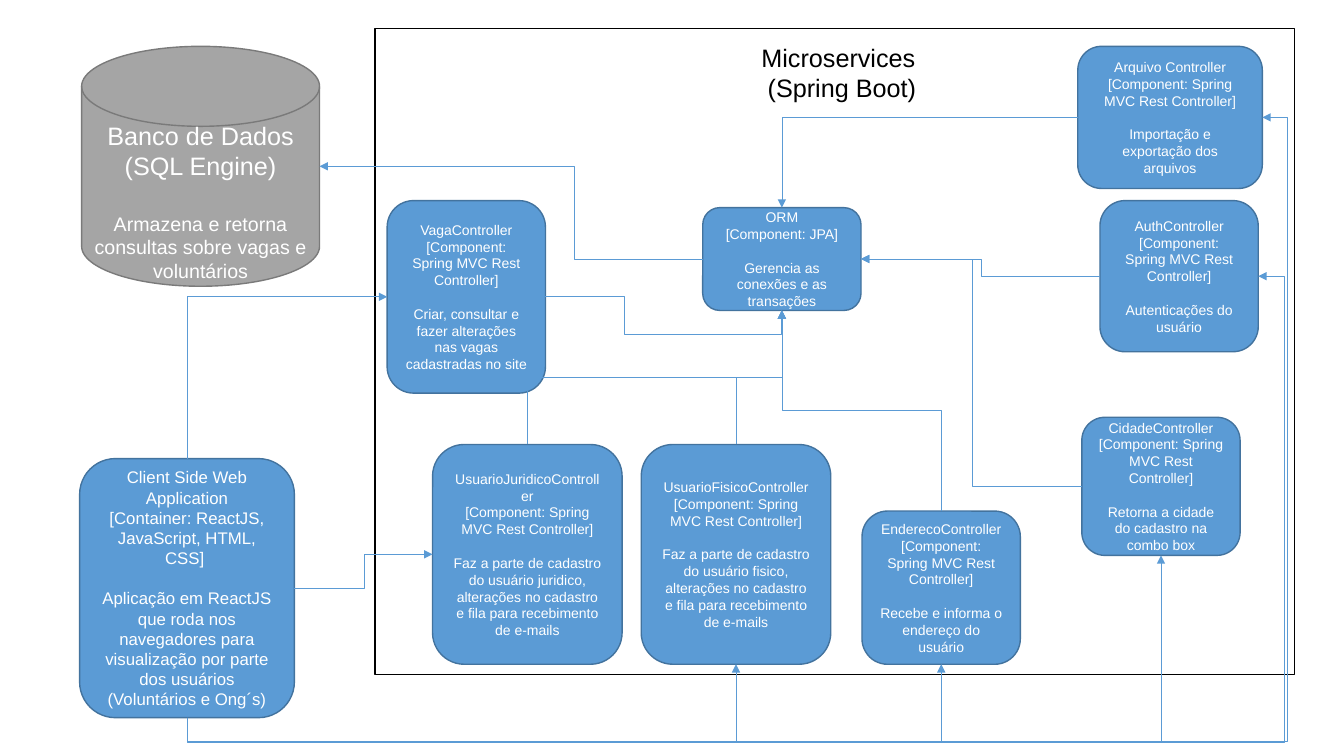
from dataclasses import dataclass

from pptx import Presentation
from pptx.dml.color import RGBColor
from pptx.enum.shapes import MSO_CONNECTOR, MSO_SHAPE
from pptx.enum.text import MSO_ANCHOR, PP_ALIGN
from pptx.oxml.ns import qn
from pptx.util import Inches, Pt
from lxml import etree

ELBOW = MSO_CONNECTOR.ELBOW
RECTANGLE = MSO_SHAPE.RECTANGLE
ROUNDED = MSO_SHAPE.ROUNDED_RECTANGLE
DISK = MSO_SHAPE.FLOWCHART_MAGNETIC_DISK
MIDDLE = MSO_ANCHOR.MIDDLE
CENTER = PP_ALIGN.CENTER
TOP, LEFT, BOTTOM, RIGHT = range(4)
DISK_RIGHT = 4


@dataclass(frozen=True)
class Theme:
    font: str = "Arial"
    white: RGBColor = RGBColor.from_string("FFFFFF")
    black: RGBColor = RGBColor.from_string("000000")
    blue: RGBColor = RGBColor.from_string("5B9BD5")
    blue_edge: RGBColor = RGBColor.from_string("43739E")
    gray: RGBColor = RGBColor.from_string("A5A5A5")
    gray_edge: RGBColor = RGBColor.from_string("7A7A7A")
    title: int = 18
    database: int = 14
    client: int = 12
    component: int = 10
    border: float = 1
    arrow: float = 0.5


theme = Theme()
presentation = Presentation()
presentation.slide_width = Inches(13.33)
presentation.slide_height = Inches(7.5)
slide = presentation.slides.add_slide(presentation.slide_layouts[6])


def add_box(kind, bounds, fill, edge):
    shape = slide.shapes.add_shape(kind, *map(Inches, bounds))
    shape.shadow.inherit = False
    shape.fill.solid()
    shape.fill.fore_color.rgb = fill
    shape.line.color.rgb = edge
    shape.line.width = Pt(theme.border)
    return shape


def write_lines(shape, lines, color):
    frame = shape.text_frame
    frame.word_wrap = True
    for index, (text, size, gap) in enumerate(lines):
        paragraph = frame.paragraphs[0] if index == 0 else frame.add_paragraph()
        paragraph.alignment = CENTER
        paragraph.space_before = Pt(gap)
        run = paragraph.add_run()
        run.text = text
        run.font.name = theme.font
        run.font.size = Pt(size)
        run.font.color.rgb = color


add_box(RECTANGLE, (3.72, 0.28, 9.12, 6.41), theme.white, theme.black)

database = add_box(DISK, (0.81, 0.46, 2.36, 2.38), theme.gray, theme.gray_edge)
database.text_frame.vertical_anchor = MIDDLE
database.text_frame.margin_top = Inches(0.35)
write_lines(database, [
    ("Banco de Dados", theme.title, 0),
    ("(SQL Engine)", theme.title, 0),
    ("Armazena e retorna consultas sobre vagas e voluntários", theme.database, 22),
], theme.white)

title = slide.shapes.add_textbox(Inches(5.39), Inches(0.37), Inches(5.92), Inches(0.71))
write_lines(title, [
    ("Microservices ", theme.title, 0),
    ("(Spring Boot)", theme.title, 0),
], theme.black)

REST = "[Component: Spring MVC Rest Controller]"
USER_TASK = ("Faz a parte de cadastro do usuário {}, alterações no cadastro "
             "e fila para recebimento de e-mails")
components = {
    "orm": ((6.97, 2.06, 1.57, 1.02), "ORM", "[Component: JPA]",
            "Gerencia as conexões e as transações", theme.component),
    "client": ((0.79, 4.55, 2.13, 2.57), "Client Side Web Application",
               "[Container: ReactJS, JavaScript, HTML, CSS] ",
               "Aplicação em ReactJS que roda nos navegadores para visualização "
               "por parte dos usuários (Voluntários e Ong´s)", theme.client),
    "arquivo": ((10.69, 0.46, 1.83, 1.41), "Arquivo Controller", REST,
                "Importação e exportação dos arquivos", theme.component),
    "auth": ((10.91, 1.99, 1.57, 1.5), "AuthController", REST,
             "Autenticações do usuário", theme.component),
    "cidade": ((10.73, 4.14, 1.57, 1.37), "CidadeController", REST,
               "Retorna a cidade do cadastro na combo box", theme.component),
    "endereco": ((8.55, 5.07, 1.57, 1.52), "EnderecoController", REST,
                 "Recebe e informa o endereço do usuário", theme.component),
    "fisico": ((6.36, 4.41, 1.88, 2.18), "UsuarioFisicoController", REST,
               USER_TASK.format("fisico"), theme.component),
    "juridico": ((4.29, 4.41, 1.88, 2.18), "UsuarioJuridicoController", REST,
                 USER_TASK.format("juridico"), theme.component),
    "vaga": ((3.84, 1.99, 1.57, 1.91), "VagaController", REST,
             "Criar, consultar e fazer alterações nas vagas cadastradas no site",
             theme.component),
}

boxes = {"database": database}
for name, (bounds, heading, kind, task, size) in components.items():
    box = add_box(ROUNDED, bounds, theme.blue, theme.blue_edge)
    box.text_frame.vertical_anchor = MIDDLE
    write_lines(box, [(heading, size, 0), (kind, size, 0), (task, size, size * 1.2)],
                theme.white)
    boxes[name] = box

BUS = 7.36
routes = [
    ("orm", LEFT, "database", RIGHT, [5.7]),
    ("vaga", RIGHT, "orm", BOTTOM, [6.19, 3.32]),
    ("juridico", TOP, "orm", BOTTOM, [3.74]),
    ("fisico", TOP, "orm", BOTTOM, [3.74]),
    ("endereco", TOP, "orm", BOTTOM, [4.07]),
    ("cidade", LEFT, "orm", RIGHT, [9.64]),
    ("auth", LEFT, "orm", RIGHT, [9.73]),
    ("arquivo", LEFT, "orm", TOP, []),
    ("client", TOP, "vaga", LEFT, []),
    ("client", RIGHT, "juridico", LEFT, [3.61]),
    ("client", BOTTOM, "fisico", BOTTOM, [BUS]),
    ("client", BOTTOM, "endereco", BOTTOM, [BUS]),
    ("client", BOTTOM, "cidade", BOTTOM, [BUS]),
    ("client", BOTTOM, "auth", RIGHT, [BUS, 12.74]),
    ("client", BOTTOM, "arquivo", RIGHT, [BUS, 12.77]),
]

for source, source_side, target, target_side, bends in routes:
    connector = slide.shapes.add_connector(ELBOW, 0, 0, 0, 0)
    connector.begin_connect(boxes[source], source_side)
    connector.end_connect(boxes[target], target_side)
    if target == "database":
        connector.element.nvCxnSpPr.cNvCxnSpPr.endCxn.idx = DISK_RIGHT
    start = (connector.begin_x, connector.begin_y)
    span = (connector.end_x - start[0], connector.end_y - start[1])
    vertical = source_side in (TOP, BOTTOM)
    properties = connector.element.spPr

    if vertical:
        width, height = abs(span[1]), abs(span[0])
        connector.left = start[0] + (span[0] - width) // 2
        connector.top = start[1] + (span[1] - height) // 2
        connector.width, connector.height = width, height
        frame = properties.find(qn("a:xfrm"))
        frame.set("rot", "5400000")
        frame.set("flipH", str(int(span[1] < 0)))
        frame.set("flipV", str(int(span[0] > 0)))

    geometry = properties.find(qn("a:prstGeom"))
    geometry.set("prst", f"bentConnector{len(bends) + 2}")
    adjustments = geometry.find(qn("a:avLst"))
    for index, bend in enumerate(bends):
        axis = (index + vertical) % 2
        ratio = (Inches(bend) - start[axis]) / span[axis]
        etree.SubElement(adjustments, qn("a:gd"), name=f"adj{index + 1}",
                         fmla=f"val {round(ratio * 100000)}")

    connector.line.color.rgb = theme.blue
    connector.line.width = Pt(theme.arrow)
    etree.SubElement(properties.find(qn("a:ln")), qn("a:tailEnd"), type="triangle")
    etree.SubElement(properties, qn("a:effectLst"))

presentation.save("out.pptx")
